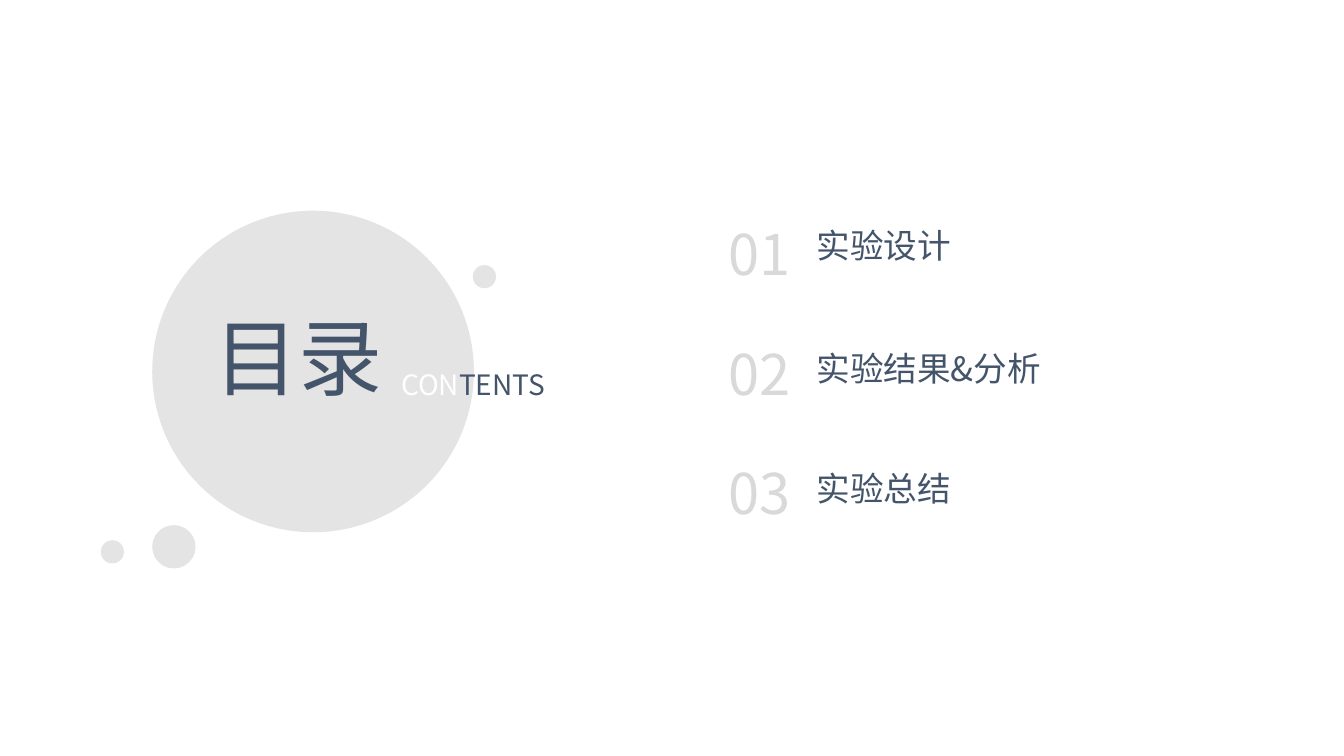
from lxml import etree
from pptx import Presentation
from pptx.dml.color import RGBColor
from pptx.enum.shapes import MSO_SHAPE as Shape
from pptx.enum.text import MSO_AUTO_SIZE as AutoSize, PP_ALIGN as Align
from pptx.oxml.ns import qn
from pptx.util import Inches, Pt

FONT = "Noto Sans CJK SC"
SLATE = RGBColor(0x44, 0x54, 0x6A)
GREY = RGBColor(0xD9, 0xD9, 0xD9)
WHITE = RGBColor(0xFF, 0xFF, 0xFF)

# left, top, diameter
BUBBLES = [(1.51, 2.09, 3.19), (1.51, 5.21, 0.43), (1, 5.36, 0.23), (4.69, 2.63, 0.23)]
BUBBLE_OPACITY = 70

HEADING = [("目录", SLATE)]
SUBHEADING = [("CON", WHITE), ("TENTS", SLATE)]

# title, top, width, height
SECTIONS = [
    ("实验设计", 2.18, 1.55, 0.5),
    ("实验结果&分析", 3.4, 2.49, 0.91),
    ("实验总结", 4.59, 1.55, 0.5),
]
NUMBER_LEFT, TITLE_LEFT = 7.13, 8
FIRST_NUMBER_TOP, LAST_NUMBER_TOP = 2.13, 4.5


def add_bubble(slide, left, top, diameter):
    bubble = slide.shapes.add_shape(
        Shape.FLOWCHART_CONNECTOR,
        Inches(left), Inches(top), Inches(diameter), Inches(diameter))
    bubble.shadow.inherit = False
    bubble.line.fill.background()
    bubble.fill.solid()
    bubble.fill.fore_color.rgb = GREY
    color = bubble.fill._xPr.find(f".//{qn('a:srgbClr')}")
    etree.SubElement(color, qn("a:alpha"), val=str(BUBBLE_OPACITY * 1000))


def add_text(slide, left, top, width, height, pieces, size, align=Align.LEFT):
    """Add one line of text made of (text, colour) pieces."""
    box = slide.shapes.add_textbox(
        Inches(left), Inches(top), Inches(width), Inches(height))
    frame = box.text_frame
    frame.word_wrap = True
    frame.auto_size = AutoSize.SHAPE_TO_FIT_TEXT
    paragraph = frame.paragraphs[0]
    paragraph.alignment = align
    for text, color in pieces:
        run = paragraph.add_run()
        run.text = text
        run.font.size = Pt(size)
        run.font.color.rgb = color
        run.font.name = FONT
        etree.SubElement(run.font._element, qn("a:ea"), typeface=FONT)


def main():
    prs = Presentation()
    prs.slide_width, prs.slide_height = Inches(13.33), Inches(7.5)
    slide = prs.slides.add_slide(prs.slide_layouts[6])

    for bubble in BUBBLES:
        add_bubble(slide, *bubble)

    add_text(slide, 2.03, 2.98, 1.97, 1.11, HEADING, 60, Align.JUSTIFY)
    add_text(slide, 3.88, 3.6, 1.97, 0.44, SUBHEADING, 20, Align.JUSTIFY)

    number_step = (LAST_NUMBER_TOP - FIRST_NUMBER_TOP) / (len(SECTIONS) - 1)
    for index, (title, top, width, height) in enumerate(SECTIONS):
        number_top = FIRST_NUMBER_TOP + index * number_step
        add_text(slide, NUMBER_LEFT, number_top, 0.86, 0.77,
                 [(f"{index + 1:02d}", GREY)], 40)
        add_text(slide, TITLE_LEFT, top, width, height, [(title, SLATE)], 24)

    prs.save("out.pptx")


if __name__ == "__main__":
    main()
